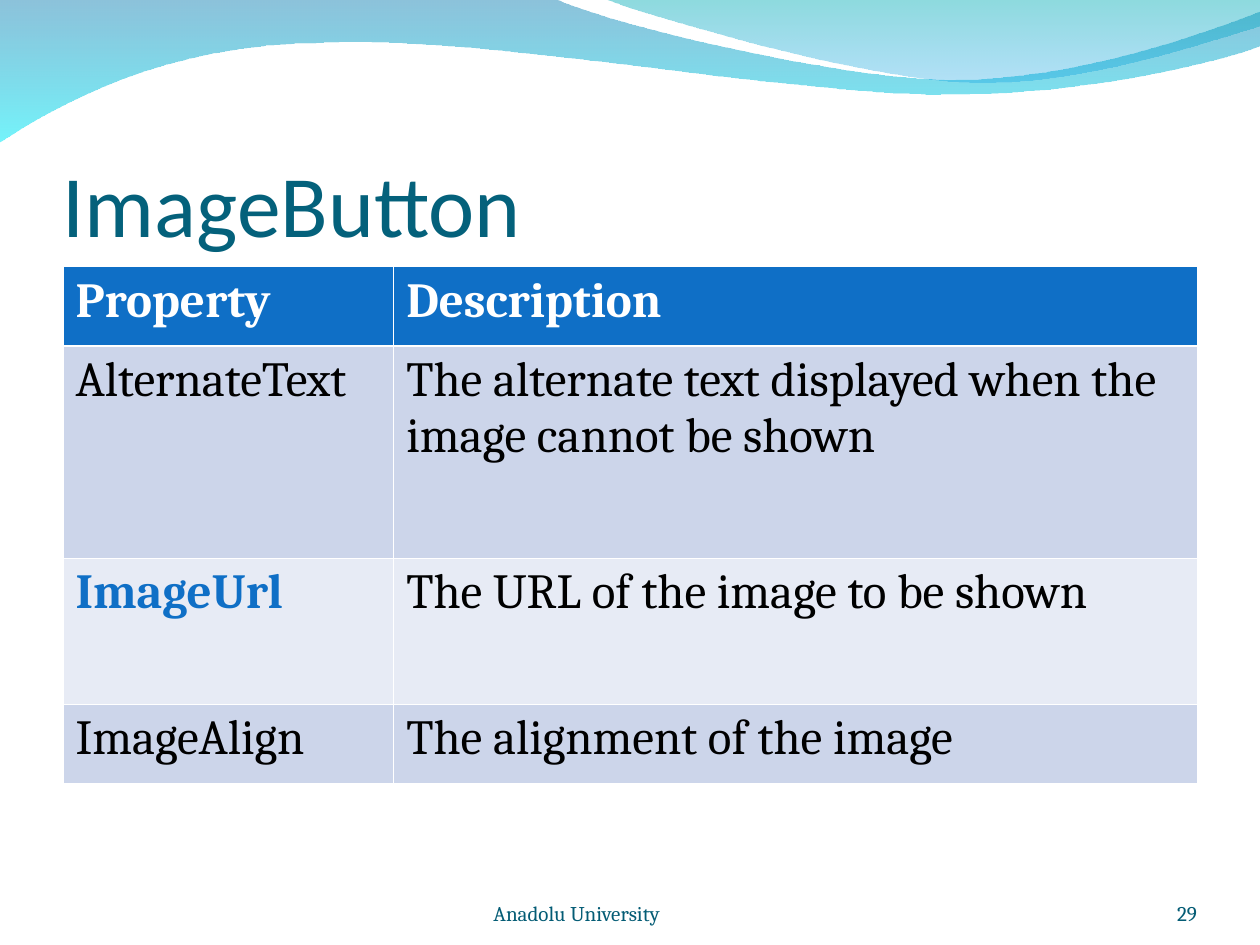
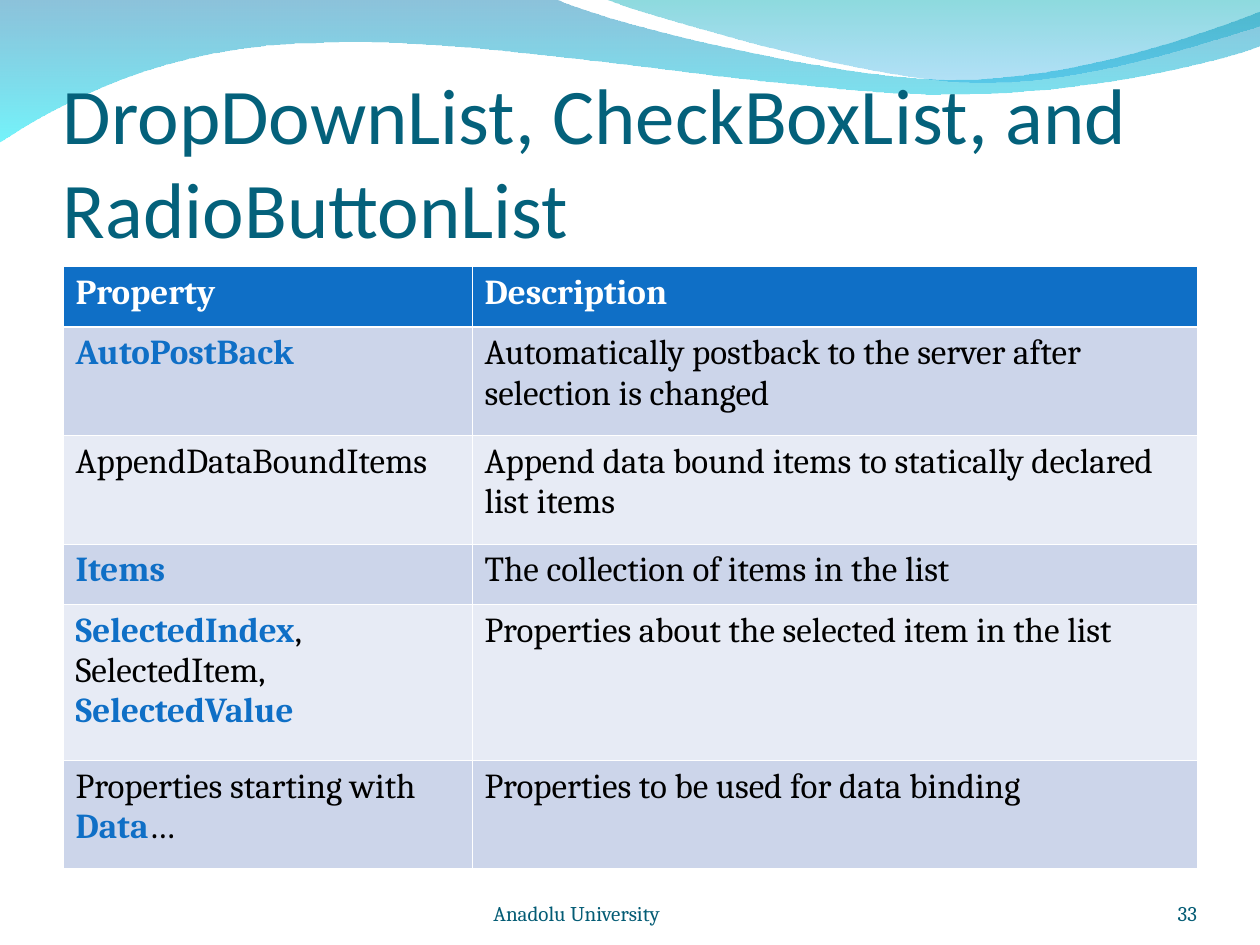
from dataclasses import dataclass

from lxml import etree
from pptx import Presentation
from pptx.dml.color import RGBColor
from pptx.enum.text import MSO_ANCHOR, PP_ALIGN
from pptx.oxml.ns import qn
from pptx.util import Pt

TOP, BOTTOM = MSO_ANCHOR.TOP, MSO_ANCHOR.BOTTOM
LEFT, RIGHT = PP_ALIGN.LEFT, PP_ALIGN.RIGHT
BLANK_LAYOUT = 6


@dataclass(frozen=True)
class Theme:
    title: str = "04617B"
    footer: str = "045C75"
    accent: str = "0F6FC6"
    text: str = "000000"
    white: str = "FFFFFF"
    bands: tuple = ("CCD5EA", "E7EBF5")
    heading_font: str = "Calibri"
    body_font: str = "Cambria"
    footer_size: int = 12
    rule: float = 0.45
    header_rule: float = 1.47


THEME = Theme()

# Boxes: left, top, width, height
PAGE_BOX = (0, 0, 720, 540)
TITLE_BOX = (36, 55.5, 648, 90)
TABLE_BOX = (36, 152.4, 648)
FOOTER_BOX = (210, 500.4, 474, 28.8)

# Waves: start, then lines (x, y) and curves (two controls and an end);
# stops are colour and opacity in percent
WAVES = [
    dict(start=(0, -0.7),
         steps=[(317, -0.7),
                (342.7, 12.2, 478.1, 45.4, 545.8, 45.4),
                (614.2, 45.4, 689.8, 18.7, 720, 6.5),
                (720.7, 25.9),
                (707.8, 31.7, 626.4, 54.7, 537.1, 54),
                (447.8, 54, 275, 20.2, 185, 24.5),
                (92.9, 25.2, 33.1, 59.8, -0.7, 81.4)],
         stops=[("0079AF", 45), ("00EBF8", 55)]),
    dict(start=(344.9, -0.7),
         steps=[(366.5, 7.9, 491, 44.6, 553.7, 46.8),
                (616.3, 49.7, 691.9, 23, 720, 15.1),
                (720, 0)],
         stops=[("00ADB6", 45), ("009BE5", 30)]),
]

# Stars mark the key properties in a cell
PAGES = [
    dict(title="ImageButton", title_size=50, number=29, text_size=28,
         first_column=189, heights=[45.4, 121.4, 83.4, 45.2],
         rows=[("Property", "Description"),
               ("AlternateText",
                "The alternate text displayed when the image cannot be shown"),
               ("*ImageUrl*", "The URL of the image to be shown"),
               ("ImageAlign", "The alignment of the image")]),
    dict(title="DropDownList, CheckBoxList, and RadioButtonList",
         title_size=45, number=33, text_size=20,
         first_column=233.7, heights=[34.5, 62, 62, 34.4, 89.2, 62],
         rows=[("Property", "Description"),
               ("*AutoPostBack*",
                "Automatically postback to the server after selection is changed"),
               ("AppendDataBoundItems",
                "Append data bound items to statically declared list items"),
               ("*Items*", "The collection of items in the list"),
               ("*SelectedIndex*, SelectedItem, *SelectedValue*",
                "Properties about the selected item in the list"),
               ("Properties starting with *Data*…",
                "Properties to be used for data binding")]),
]


def write_text(frame, text, size, color, font=THEME.body_font, bold=False,
               align=LEFT, anchor=TOP, insets=(0, 0, 0, 0), tab=None):
    """Fill a text frame; parts between stars are bold and accented."""
    frame.word_wrap = True
    frame.vertical_anchor = anchor
    (frame.margin_left, frame.margin_top,
     frame.margin_right, frame.margin_bottom) = map(Pt, insets)
    para = frame.paragraphs[0]
    para.alignment = align
    if tab:
        stops = etree.SubElement(para._p.get_or_add_pPr(), qn("a:tabLst"))
        etree.SubElement(stops, qn("a:tab"), pos=str(Pt(tab)), algn="l")
    for index, part in enumerate(text.split("*")):
        if part:
            key = index % 2 == 1
            span = para.add_run()
            span.text = part
            span.font.name = font
            span.font.size = Pt(size)
            span.font.bold = bold or key
            span.font.color.rgb = RGBColor.from_string(
                THEME.accent if key else color)


def add_text(page, box, text, **style):
    shape = page.shapes.add_textbox(*map(Pt, box))
    write_text(shape.text_frame, text, **style)


def bend_lines(shape, steps):
    """Join the three lines that stand for each curve into one cubic."""
    lines = iter(shape._element.spPr.findall(".//" + qn("a:lnTo")))
    for step in steps:
        first = next(lines)
        if len(step) == 6:
            curve = etree.Element(qn("a:cubicBezTo"))
            first.addprevious(curve)
            for line in (first, next(lines), next(lines)):
                curve.append(line[0])
                line.getparent().remove(line)


def add_wave(page, box, start, steps, stops):
    left, top = box[:2]
    knots = [step[i:i + 2] for step in steps for i in range(0, len(step), 2)]
    builder = page.shapes.build_freeform(Pt(left + start[0]), Pt(top + start[1]))
    builder.add_line_segments([(Pt(left + x), Pt(top + y)) for x, y in knots])
    builder.add_line_segments([], close=True)
    wave = builder.convert_to_shape()
    bend_lines(wave, steps)
    wave.shadow.inherit = False
    wave.line.fill.background()
    wave.fill.gradient()
    wave.fill.gradient_angle = 270
    for stop, (color, _) in zip(wave.fill.gradient_stops, stops):
        stop.color.rgb = RGBColor.from_string(color)
    colors = wave._element.spPr.findall(".//" + qn("a:gs") + "/" + qn("a:srgbClr"))
    for element, (_, opacity) in zip(colors, stops):
        etree.SubElement(element, qn("a:alpha"), val=str(opacity * 1000))


def set_borders(cell, widths):
    """Put white rules on the left, right, top and bottom of a cell."""
    properties = cell._tc.get_or_add_tcPr()
    for index, (side, width) in enumerate(zip("LRTB", widths)):
        line = etree.Element(qn("a:ln" + side), w=str(Pt(width)))
        fill = etree.SubElement(line, qn("a:solidFill"))
        etree.SubElement(fill, qn("a:srgbClr"), val=THEME.white)
        properties.insert(index, line)


def add_property_table(page, box, rows, heights, first_column, text_size):
    left, top, width = box
    table = page.shapes.add_table(
        len(rows), 2, *map(Pt, (left, top, width, sum(heights)))).table
    table.horz_banding = False
    for column, size in zip(table.columns, (first_column, width - first_column)):
        column.width = Pt(size)
    for index, (row, height) in enumerate(zip(table.rows, heights)):
        row.height = Pt(height)
        header = index == 0
        fill = THEME.accent if header else THEME.bands[(index - 1) % 2]
        above = THEME.header_rule if index == 1 else THEME.rule
        below = THEME.header_rule if header else THEME.rule
        for cell, text in zip(row.cells, rows[index]):
            cell.fill.solid()
            cell.fill.fore_color.rgb = RGBColor.from_string(fill)
            set_borders(cell, (THEME.rule, THEME.rule, above, below))
            cell.vertical_anchor = TOP
            cell.margin_left = cell.margin_right = Pt(7.2)
            cell.margin_top = cell.margin_bottom = Pt(3.6)
            write_text(cell.text_frame, text, size=text_size, bold=header,
                       color=THEME.white if header else THEME.text,
                       insets=(7.2, 3.6, 7.2, 3.6))


def add_footer(page, box, number):
    left, top, width, height = box
    style = dict(size=THEME.footer_size, color=THEME.footer, anchor=BOTTOM)
    add_text(page, (left + width - 60, top, 60, height), str(number),
             align=RIGHT, **style)
    add_text(page, (left, top, 264, height), "\tAnadolu University",
             tab=72, **style)


def add_property_page(deck, title, title_size, number, **table):
    page = deck.slides.add_slide(deck.slide_layouts[BLANK_LAYOUT])
    for wave in WAVES:
        add_wave(page, PAGE_BOX, **wave)
    add_text(page, TITLE_BOX, title, size=title_size, color=THEME.title,
             font=THEME.heading_font, anchor=BOTTOM, insets=(0, 3.6, 0, 0))
    add_property_table(page, TABLE_BOX, **table)
    add_footer(page, FOOTER_BOX, number)


def main():
    deck = Presentation()
    deck.slide_width, deck.slide_height = map(Pt, PAGE_BOX[2:])
    for content in PAGES:
        add_property_page(deck, **content)
    deck.save("out.pptx")


if __name__ == "__main__":
    main()
